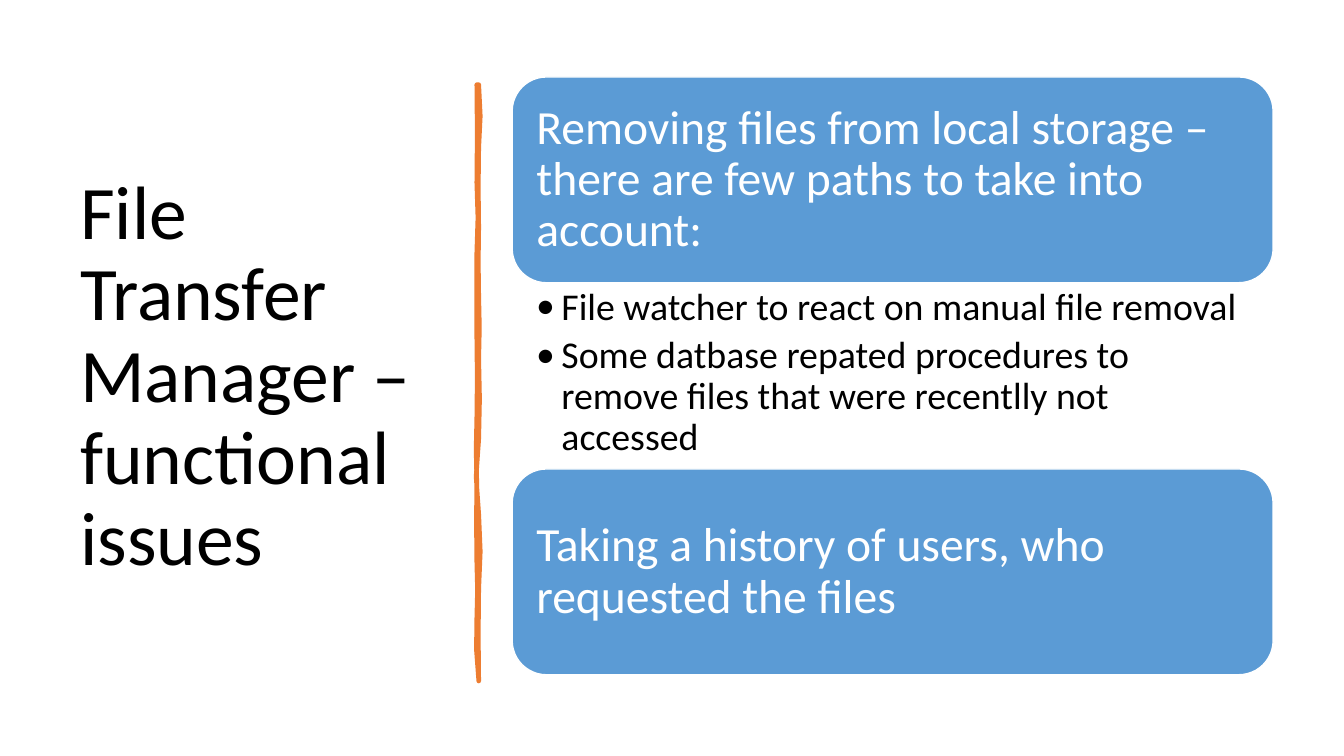
from pptx import Presentation
from pptx.dml.color import RGBColor
from pptx.enum.shapes import MSO_SHAPE as SHAPE
from pptx.enum.text import MSO_ANCHOR as ANCHOR, PP_ALIGN as ALIGN
from pptx.oxml import parse_xml
from pptx.oxml.ns import nsdecls
from pptx.util import Pt

COLORS = {"text": "000000", "light": "FFFFFF", "card": "5B9BD5", "stroke": "ED7D31"}
FONT = "Calibri"

# Each edge piece: sideways sway at its middle, then the height where it ends
RIGHT_EDGE = [(1.1, 45), (-0.3, 102), (-0.3, 151), (0.5, 196),
              (0.6, 253), (-1.9, 307), (1.1, 360), (-0.3, 426)]
LEFT_EDGE = [(-0.3, 381), (0.5, 341), (-0.3, 283), (-0.5, 238),
             (0.3, 181), (0, 120), (0.8, 70), (0.3, 0)]


def rgb(name):
    return RGBColor.from_string(COLORS[name])


def put_text(sp, *lines, size, color="text", anchor=ANCHOR.MIDDLE,
             insets=(7.2, 3.6, 7.2, 3.6), after=0, bullet=None, indent=18):
    tf = sp.text_frame
    tf.word_wrap = True
    tf.vertical_anchor = anchor
    tf.margin_left, tf.margin_top, tf.margin_right, tf.margin_bottom = map(Pt, insets)
    for i, line in enumerate(lines):
        p = tf.add_paragraph() if i else tf.paragraphs[0]
        p.alignment = ALIGN.LEFT
        p.line_spacing = 0.9
        p.space_after = Pt(after)
        if bullet:
            pPr = p._p.get_or_add_pPr()
            pPr.set("marL", str(Pt(indent)))
            pPr.set("indent", str(-Pt(indent)))
            pPr.append(parse_xml(f'<a:buFont {nsdecls("a")} typeface="{FONT}"/>'))
            pPr.append(parse_xml(f'<a:buChar {nsdecls("a")} char="{bullet}"/>'))
        r = p.add_run()
        r.text = line
        r.font.size = Pt(size)
        r.font.name = FONT
        r.font.color.rgb = rgb(color)


def paint(sp, fill, line, width):
    sp.shadow.inherit = False
    sp.fill.solid()
    sp.fill.fore_color.rgb = rgb(fill)
    sp.line.color.rgb = rgb(line)
    sp.line.width = Pt(width)


def edge_points(x, y, pieces):
    points = []
    for sway, end in pieces:
        points += [(Pt(x + sway), Pt((y + end) / 2)), (Pt(x), Pt(end))]
        y = end
    return points


def add_title(s, x, y, w, h):
    sp = s.shapes.add_textbox(Pt(x), Pt(y), Pt(w), Pt(h))
    put_text(sp, "File Transfer Manager – functional issues", size=54)


def add_divider(s, x, y, w, h):
    fb = s.shapes.build_freeform(Pt(w), 0)
    fb.add_line_segments(edge_points(w, 0, RIGHT_EDGE) + edge_points(0, h, LEFT_EDGE))
    paint(fb.convert_to_shape(Pt(x), Pt(y)), "stroke", "stroke", 3.25)


def add_card(s, x, y, w, h, text):
    sp = s.shapes.add_shape(SHAPE.ROUNDED_RECTANGLE, Pt(x), Pt(y), Pt(w), Pt(h))
    paint(sp, "card", "light", 1)
    put_text(sp, text, size=34, color="light", insets=(10.2, 10.2, 10.2, 10))


def add_issues(s, x, y, w, h, card_h=147):
    # Two cards at the ends, the bullet list fills the space between them
    add_card(s, x, y, w, card_h,
             "Removing files from local storage –there are few paths to take into account:")
    sp = s.shapes.add_textbox(Pt(x), Pt(y + card_h), Pt(w), Pt(h - 2 * card_h))
    put_text(sp, "File watcher to react on manual file removal",
             "Some datbase repated procedures to remove files that were recentlly not accessed",
             size=27, anchor=ANCHOR.TOP, insets=(17.2, 3.6, 18.7, 3.6), after=5.4, bullet="•")
    add_card(s, x, y + h - card_h, w, card_h,
             "Taking a history of users, who requested the files")


prs = Presentation()
prs.slide_width, prs.slide_height = Pt(960), Pt(540)
s = prs.slides.add_slide(prs.slide_layouts[6])
add_title(s, 50.2, 50.1, 269.3, 440)
add_divider(s, 340.6, 60.5, 1.4, 426)
add_issues(s, 365.8, 55, 543.6, 427)
prs.save("out.pptx")
